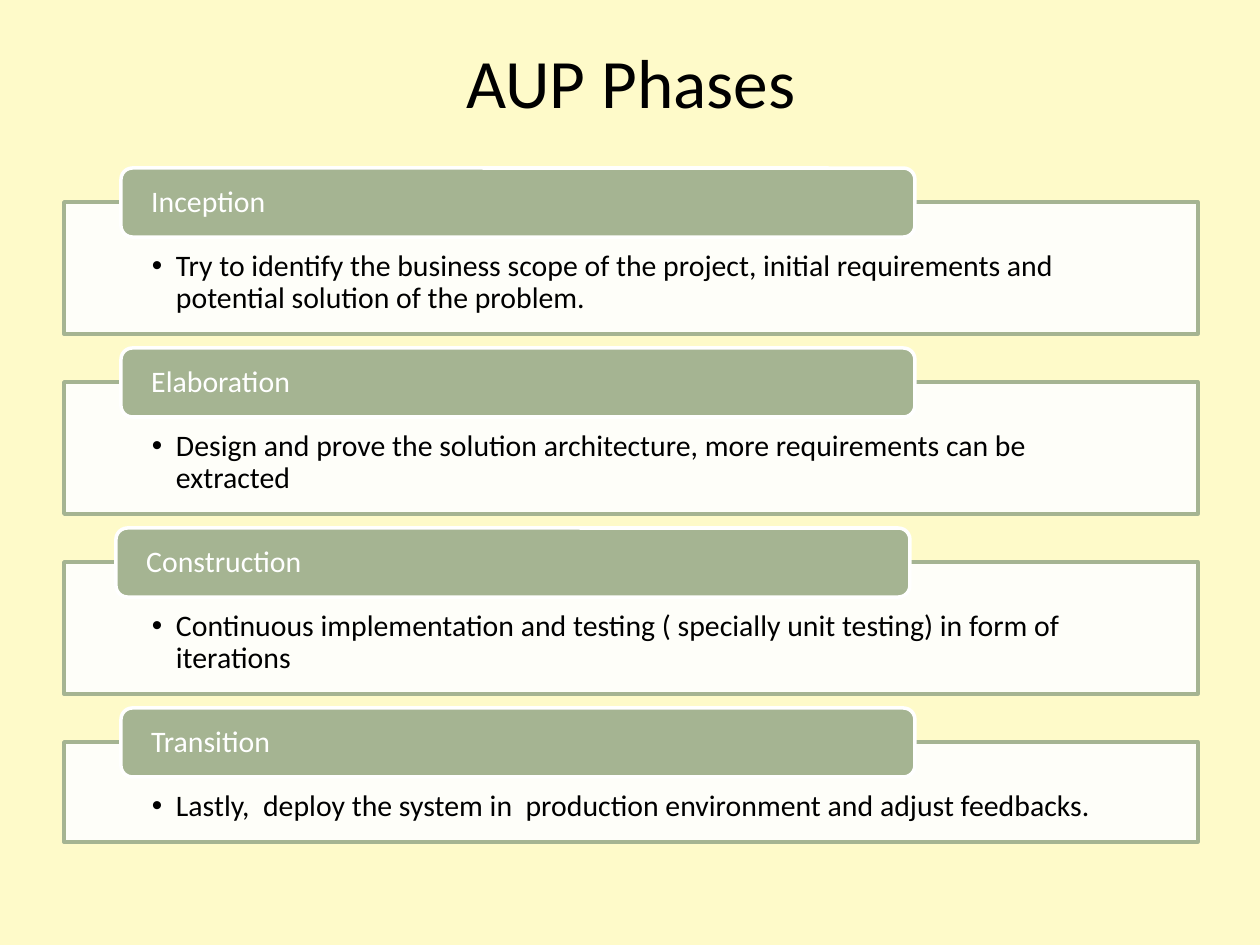
"""Build the AUP Phases slide: four titled panels stacked down the page."""
from dataclasses import dataclass

from lxml.etree import SubElement
from pptx import Presentation
from pptx.dml.color import RGBColor
from pptx.enum.shapes import MSO_SHAPE
from pptx.enum.text import MSO_ANCHOR, PP_ALIGN
from pptx.oxml.ns import qn
from pptx.util import Pt

TITLE = "AUP Phases"
PHASES = [
    {"name": "Inception", "height": 132, "tab_left": 121,
     "detail": "Try to identify the business scope of the project, initial requirements "
               "and potential solution of the problem."},
    {"name": "Elaboration", "height": 132, "tab_left": 121,
     "detail": "Design and prove the solution architecture, more requirements can be extracted"},
    {"name": "Construction", "height": 132, "tab_left": 116,
     "detail": "Continuous implementation and testing ( specially unit testing) "
               "in form of iterations"},
    {"name": "Transition", "height": 100, "tab_left": 121,
     "detail": "Lastly,  deploy the system in  production environment and adjust feedbacks."},
]


@dataclass(frozen=True)
class Theme:
    background: RGBColor = RGBColor.from_string("FEFAC9")
    sage: RGBColor = RGBColor.from_string("A5B492")
    white: RGBColor = RGBColor.from_string("FFFFFF")
    black: RGBColor = RGBColor.from_string("000000")
    font: str = "Calibri"
    title_size: float = 39.6
    body_size: float = 17
    line_width: float = 2
    panel_opacity: int = 90


THEME = Theme()
EMU_PER_INCH, PX_PER_INCH = 914400, 126
SLIDE_WIDTH, SLIDE_HEIGHT = 1260, 945
LEFT, WIDTH = 64, 1134
TITLE_TOP, TITLE_HEIGHT = 37, 87
FIRST_TOP, PITCH = 202, 180
TAB_WIDTH, TAB_HEIGHT, TAB_RISE = 794, 69, 34
BULLET_INDENT = 24


def px(length):
    return round(length * EMU_PER_INCH / PX_PER_INCH)


def set_attributes(target, values):
    for name, value in values.items():
        setattr(target, name, value)


def write_text(shape, text, size, color, insets, anchor, align=PP_ALIGN.LEFT, spacing=1.0,
               bullet=False):
    frame = shape.text_frame
    sides = ("margin_left", "margin_top", "margin_right", "margin_bottom")
    set_attributes(frame, dict(zip(sides, map(px, insets))))
    set_attributes(frame, {"word_wrap": True, "vertical_anchor": anchor})
    paragraph = frame.paragraphs[0]
    set_attributes(paragraph, {"text": text, "alignment": align, "line_spacing": spacing})
    if bullet:
        add_bullet(paragraph)
    font = paragraph.runs[0].font
    set_attributes(font, {"name": THEME.font, "size": Pt(size)})
    font.color.rgb = color


def add_bullet(paragraph):
    properties = paragraph._p.get_or_add_pPr()
    properties.set("marL", str(px(BULLET_INDENT)))
    properties.set("indent", str(-px(BULLET_INDENT)))
    SubElement(properties, qn("a:buFont"), typeface="Arial")
    SubElement(properties, qn("a:buChar"), char="•")


def add_block(slide, kind, box, fill, line):
    shape = slide.shapes.add_shape(kind, *map(px, box))
    shape.shadow.inherit = False
    shape.fill.solid()
    shape.fill.fore_color.rgb = fill
    shape.line.color.rgb = line
    shape.line.width = Pt(THEME.line_width)
    return shape


def add_phase(slide, phase, top):
    panel = add_block(slide, MSO_SHAPE.RECTANGLE, (LEFT, top, WIDTH, phase["height"]),
                      THEME.white, THEME.sage)
    fill_color = panel._element.spPr.find(qn("a:solidFill")).find(qn("a:srgbClr"))
    SubElement(fill_color, qn("a:alpha"), val=str(THEME.panel_opacity * 1000))
    write_text(panel, phase["detail"], THEME.body_size, THEME.black, (88, 49, 88, 16),
               MSO_ANCHOR.TOP, spacing=0.9, bullet=True)

    tab_box = (phase["tab_left"], top - TAB_RISE, TAB_WIDTH, TAB_HEIGHT)
    tab = add_block(slide, MSO_SHAPE.ROUNDED_RECTANGLE, tab_box, THEME.sage, THEME.white)
    write_text(tab, phase["name"], THEME.body_size, THEME.white, (27, 0, 27, 0),
               MSO_ANCHOR.MIDDLE, spacing=0.9)


def main():
    presentation = Presentation()
    set_attributes(presentation, {"slide_width": px(SLIDE_WIDTH),
                                  "slide_height": px(SLIDE_HEIGHT)})
    slide = presentation.slides.add_slide(presentation.slide_layouts[6])
    slide.background.fill.solid()
    slide.background.fill.fore_color.rgb = THEME.background

    title = slide.shapes.add_textbox(*map(px, (LEFT, TITLE_TOP, WIDTH, TITLE_HEIGHT)))
    write_text(title, TITLE, THEME.title_size, THEME.black, (13, 6, 13, 6),
               MSO_ANCHOR.MIDDLE, PP_ALIGN.CENTER)
    for index, phase in enumerate(PHASES):
        add_phase(slide, phase, FIRST_TOP + index * PITCH)
    presentation.save("out.pptx")


if __name__ == "__main__":
    main()
